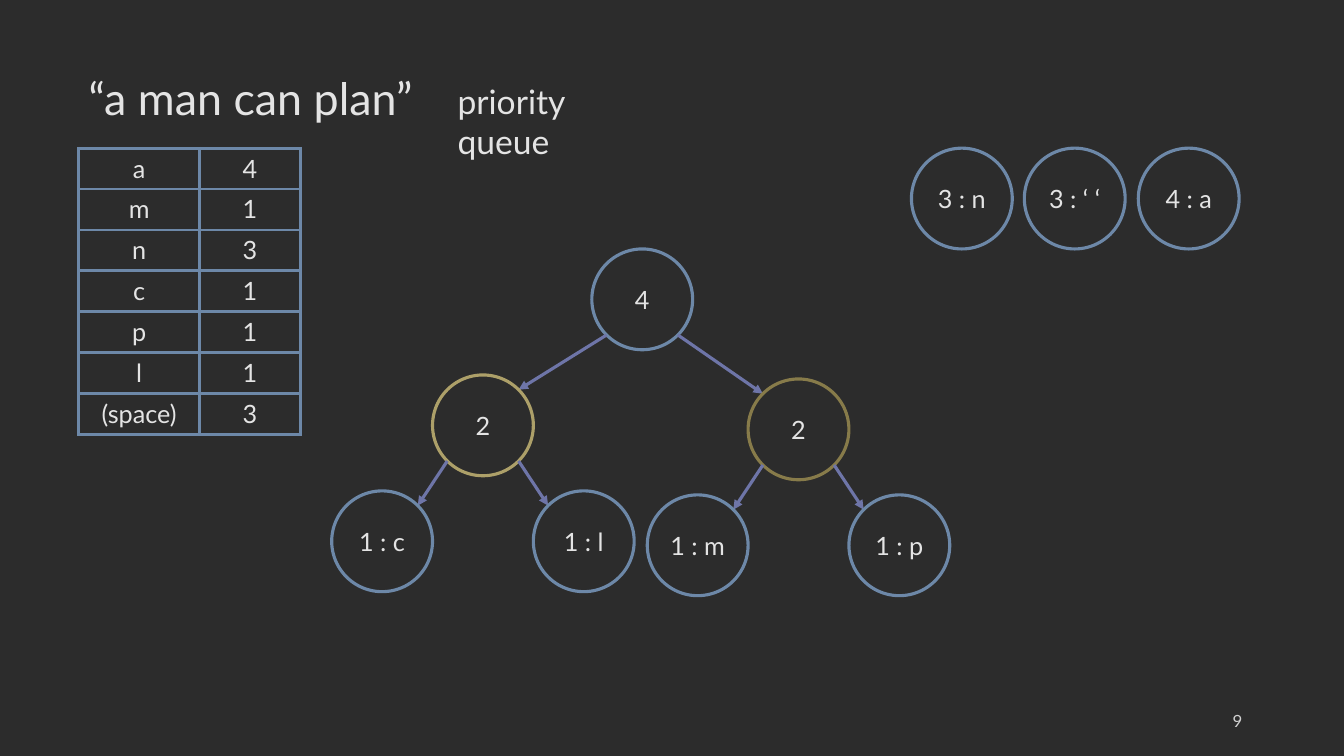
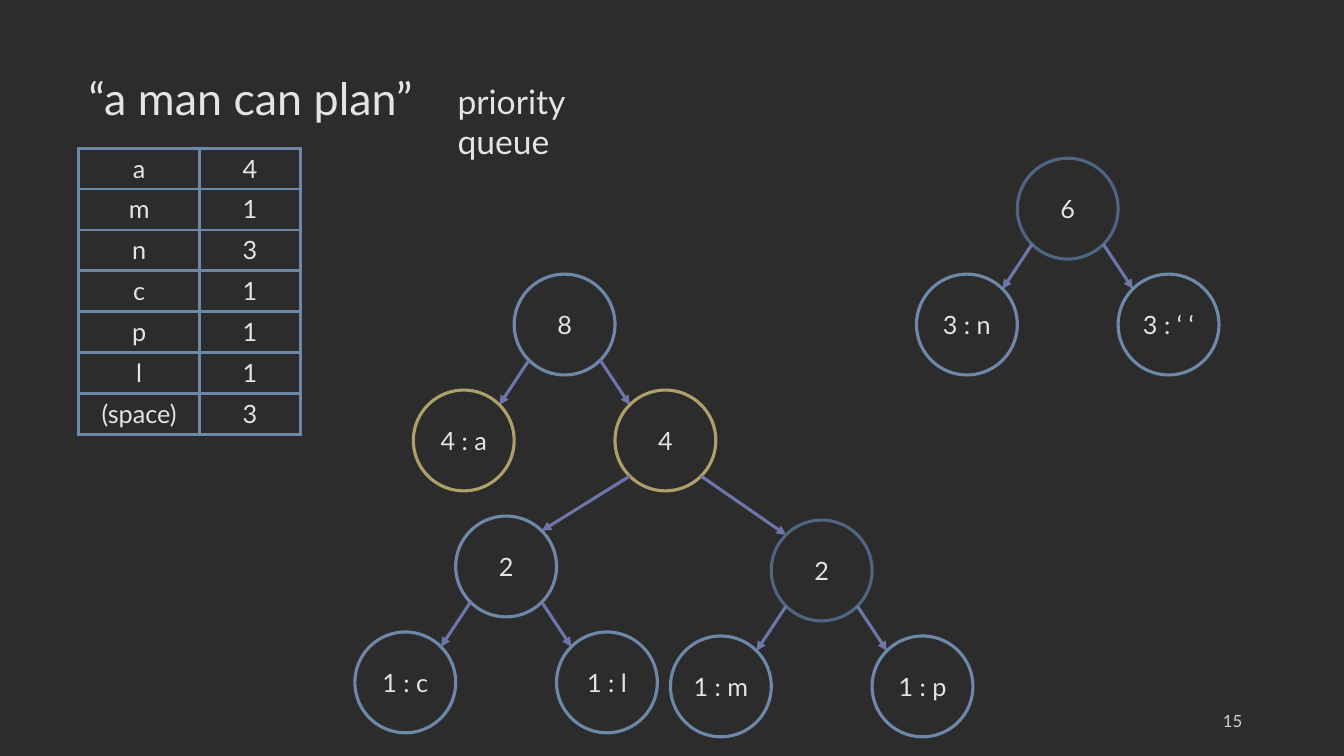
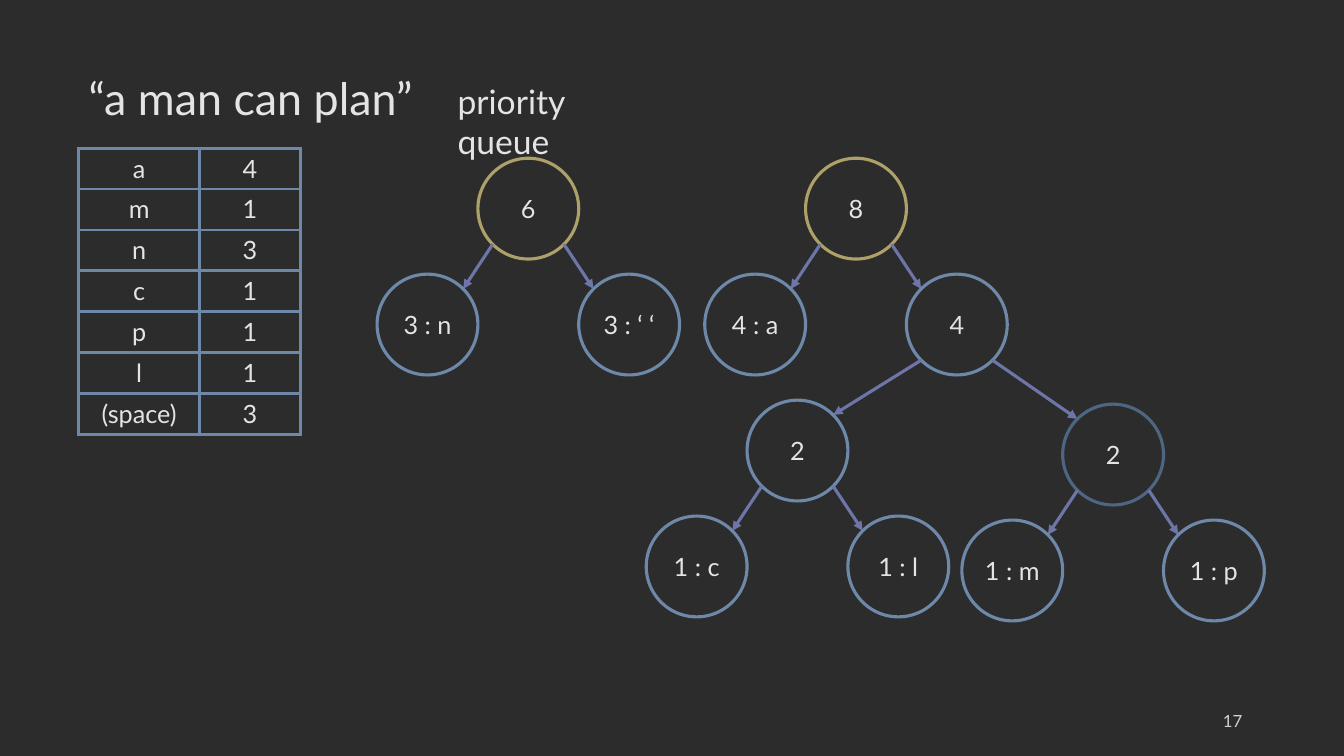
import dataclasses
import math

import lxml.etree
import pptx
import pptx.dml.color
import pptx.enum.shapes
import pptx.enum.text
import pptx.oxml.ns
import pptx.util

RGB = pptx.dml.color.RGBColor
ALIGN = pptx.enum.text.PP_ALIGN
ANCHOR = pptx.enum.text.MSO_ANCHOR
qn = pptx.oxml.ns.qn

BACKGROUND = RGB(0x2C, 0x2C, 0x2C)
TEXT = RGB(0xE4, 0xE4, 0xE4)
NUMBER = RGB(0xD1, 0xD1, 0xD1)
BLUE = RGB(0x6D, 0x88, 0xA8)
DARK_BLUE = RGB(0x4E, 0x66, 0x82)
GOLD = RGB(0xAD, 0xA0, 0x69)
DARK_GOLD = RGB(0x87, 0x7B, 0x4A)
ARROW = RGB(0x6E, 0x75, 0xA8)

FONT = "Lato"
LINE = pptx.util.Pt(2.25)
NODE = 100
COUNTS = [("a", 4), ("m", 1), ("n", 3), ("c", 1), ("p", 1), ("l", 1), ("(space)", 3)]


def px(n):
    """Turn px (100 to the inch) into EMU."""
    return pptx.util.Emu(round(n * 9144))


@dataclasses.dataclass(frozen=True)
class Node:
    """A tree node; offsets are the steps from it to each child."""
    label: str
    children: tuple = ()
    offsets: tuple = ((-100, 115), (100, 115))


LEAF_N, LEAF_SPACE, LEAF_A = Node("3 : n"), Node("3 : ‘ ‘"), Node("4 : a")
PAIR_CL = Node("2", (Node("1 : c"), Node("1 : l")))
PAIR_MP = Node("2", (Node("1 : m"), Node("1 : p")))
FOUR = Node("4", (PAIR_CL, PAIR_MP), ((-158, 125), (155, 129)))
SIX = Node("6", (LEAF_N, LEAF_SPACE))
EIGHT = Node("8", (LEAF_A, FOUR))


def write(tf, text, size, color=TEXT, align=ALIGN.LEFT):
    tf.text = text
    p = tf.paragraphs[0]
    p.alignment = align
    p.font.name = FONT
    p.font.size = pptx.util.Pt(size)
    p.font.color.rgb = color


def add_label(slide, text, box, size, color=TEXT, align=ALIGN.LEFT, anchor=ANCHOR.TOP):
    tf = slide.shapes.add_textbox(*map(px, box)).text_frame
    tf.word_wrap = True
    tf.vertical_anchor = anchor
    write(tf, text, size, color, align)


def add_title(slide, text, box):
    sp = slide.shapes.title
    sp.left, sp.top, sp.width, sp.height = map(px, box)
    tf = sp.text_frame
    tf.auto_size = pptx.enum.text.MSO_AUTO_SIZE.NONE
    tf.word_wrap = False
    tf.vertical_anchor = ANCHOR.TOP
    write(tf, text, 32)


def set_borders(cell):
    tcPr = cell._tc.get_or_add_tcPr()
    for i, side in enumerate(("lnL", "lnR", "lnT", "lnB")):
        ln = lxml.etree.Element(qn("a:" + side), w=str(LINE))
        fill = lxml.etree.SubElement(ln, qn("a:solidFill"))
        lxml.etree.SubElement(fill, qn("a:srgbClr"), val=str(BLUE))
        tcPr.insert(i, ln)


def add_count_table(slide, x, y, w, h):
    frame = slide.shapes.add_table(len(COUNTS), 2, px(x), px(y), px(w), px(h))
    table = frame.table
    table.first_row = table.horz_banding = False
    table.columns[0].width = px(w - 100)
    table.columns[1].width = px(100)
    for row, values in zip(table.rows, COUNTS):
        row.height = px(h) // len(COUNTS)
        for cell, value in zip(row.cells, values):
            cell.fill.background()
            set_borders(cell)
            write(cell.text_frame, str(value), 18, align=ALIGN.CENTER)


def add_node(slide, text, x, y, outline):
    sp = slide.shapes.add_shape(pptx.enum.shapes.MSO_SHAPE.OVAL,
                                px(x), px(y), px(NODE), px(NODE))
    sp.shadow.inherit = False
    sp.fill.background()
    sp.line.color.rgb = outline
    sp.line.width = LINE
    tf = sp.text_frame
    tf.margin_left = tf.margin_right = tf.margin_top = tf.margin_bottom = 0
    tf.vertical_anchor = ANCHOR.MIDDLE
    write(tf, text, 18, align=ALIGN.CENTER)


def add_arrow(slide, x, y, dx, dy):
    """Join the node at x, y to its child dx, dy away, at the 45° points of both."""
    reach = NODE / 2 * math.sqrt(0.5)
    side = math.copysign(reach, dx)
    cx, cy = x + NODE / 2, y + NODE / 2
    line = slide.shapes.add_connector(
        pptx.enum.shapes.MSO_CONNECTOR.STRAIGHT,
        px(cx + side), px(cy + reach), px(cx + dx - side), px(cy + dy - reach))
    line.line.color.rgb = ARROW
    line.line.width = LINE
    lxml.etree.SubElement(line.line._get_or_add_ln(), qn("a:tailEnd"), type="triangle")
    lxml.etree.SubElement(line._element.spPr, qn("a:effectLst"))


def add_tree(slide, node, x, y, outlines):
    add_node(slide, node.label, x, y, outlines.get(node, BLUE))
    for child, (dx, dy) in zip(node.children, node.offsets):
        add_arrow(slide, x, y, dx, dy)
        add_tree(slide, child, x + dx, y + dy, outlines)


def add_queue_slide(prs, number, trees, outlines):
    """Add one step: trees are (root, left, top), outlines the colours that are not blue."""
    slide = prs.slides.add_slide(prs.slide_layouts[5])
    add_title(slide, "“a man can plan”", (78, 65, 354, 64))
    add_label(slide, "priority queue", (444, 75, 200, 50), 24)
    add_count_table(slide, 78, 147, 220, 284)
    for root, x, y in trees:
        add_tree(slide, root, x, y, outlines)
    add_label(slide, str(number), (942, 695, 300, 40), 12, NUMBER,
              ALIGN.RIGHT, ANCHOR.MIDDLE)


def main():
    prs = pptx.Presentation()
    prs.slide_width, prs.slide_height = px(1333), px(750)
    fill = prs.slide_master.background.fill
    fill.solid()
    fill.fore_color.rgb = BACKGROUND

    add_queue_slide(
        prs, 9,
        [(FOUR, 587, 247), (LEAF_N, 904, 147), (LEAF_SPACE, 1016, 147), (LEAF_A, 1129, 147)],
        {PAIR_CL: GOLD, PAIR_MP: DARK_GOLD})
    add_queue_slide(
        prs, 15, [(EIGHT, 510, 272), (SIX, 1009, 157)],
        {LEAF_A: GOLD, FOUR: GOLD, PAIR_MP: DARK_BLUE, SIX: DARK_BLUE})
    add_queue_slide(
        prs, 17, [(SIX, 474, 157), (EIGHT, 799, 157)],
        {SIX: GOLD, EIGHT: GOLD, PAIR_MP: DARK_BLUE})
    prs.save("out.pptx")


if __name__ == "__main__":
    main()
